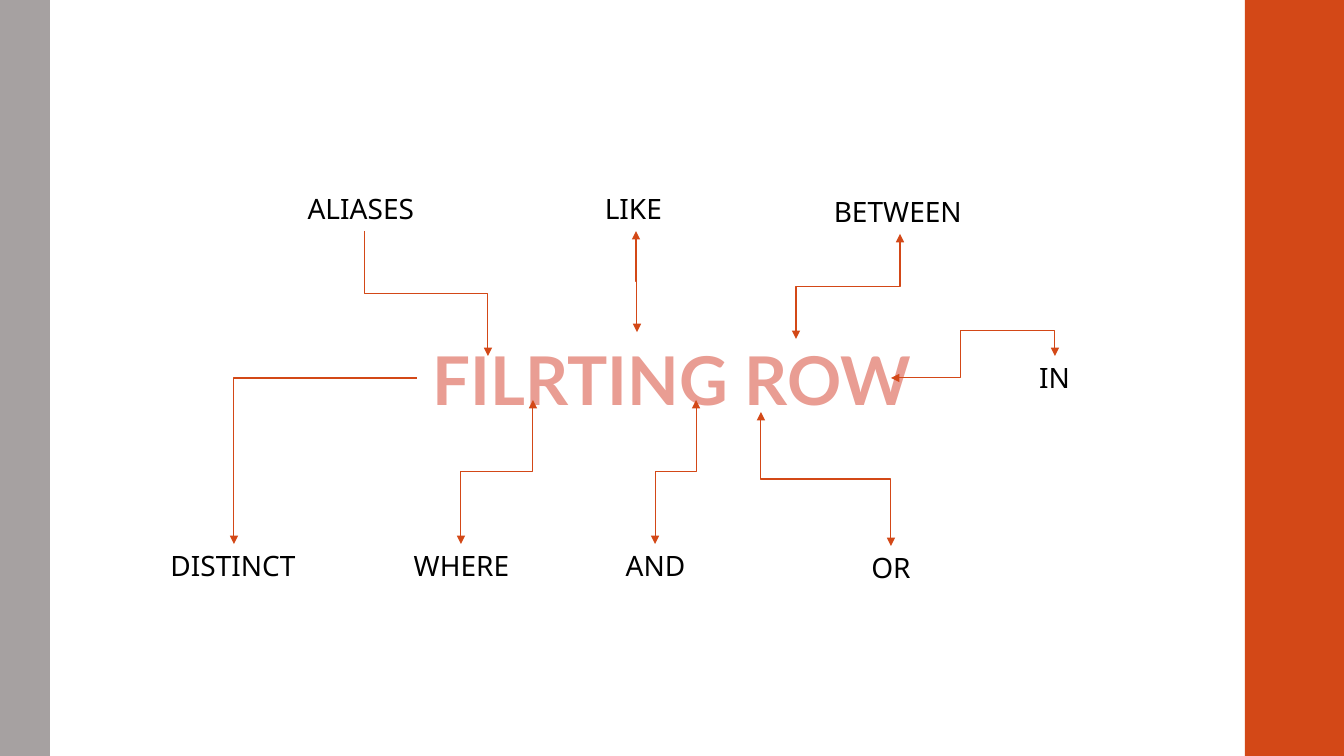
from dataclasses import dataclass

from pptx import Presentation
from pptx.dml.color import RGBColor
from pptx.enum.shapes import MSO_CONNECTOR, MSO_SHAPE
from pptx.enum.text import MSO_AUTO_SIZE, PP_ALIGN
from pptx.oxml.ns import qn
from pptx.util import Emu, Pt
from lxml.etree import SubElement


@dataclass(frozen=True)
class Theme:
    accent: str = "D34817"
    gray: str = "A6A1A1"
    pink: str = "E99D93"
    ink: str = "000000"
    head_font: str = "Lato"
    body_font: str = "Noto Sans"
    head_size: int = 48
    body_size: int = 20
    line: float = 0.75


def px(n):
    return Emu(round(n * 914400 / 100.8))


class Deck:
    def __init__(self, theme):
        self.theme = theme
        self.file = Presentation()
        self.file.slide_width, self.file.slide_height = px(1344), px(756)
        self.shapes = self.file.slides.add_slide(self.file.slide_layouts[6]).shapes

    def bar(self, left, width, color):
        bar = self.shapes.add_shape(MSO_SHAPE.RECTANGLE, px(left), 0, px(width), px(756))
        bar.shadow.inherit = False
        bar.fill.solid()
        bar.fill.fore_color.rgb = RGBColor.from_string(color)
        bar.line.fill.background()

    def text(self, words, box, font, size, color, bold=False, wrap=False):
        frame = self.shapes.add_textbox(*map(px, box)).text_frame
        frame.word_wrap = wrap
        frame.auto_size = MSO_AUTO_SIZE.SHAPE_TO_FIT_TEXT
        para = frame.paragraphs[0]
        para.alignment = PP_ALIGN.CENTER
        run = para.add_run()
        run.text = words
        run.font.name, run.font.size, run.font.bold = font, Pt(size), bold
        run.font.color.rgb = RGBColor.from_string(color)

    def title(self, words, box):
        style = self.theme
        self.text(words, box, style.head_font, style.head_size, style.pink, True, True)

    def label(self, words, left, top, width):
        style = self.theme
        self.text(words, (left, top, width, 44), style.body_font, style.body_size, style.ink)

    def elbow(self, start, end, kind="bentConnector3", turn=True, both=True, bends=()):
        (x1, y1), (x2, y2) = start, end
        if turn:  # swap the axes about the centre, so that it leaves upright
            mid_x, mid_y = (x1 + x2) / 2, (y1 + y2) / 2
            half_x, half_y = (x2 - x1) / 2, (y2 - y1) / 2
            x1, x2 = mid_x - half_y, mid_x + half_y
            y1, y2 = mid_y + half_x, mid_y - half_x
        link = self.shapes.add_connector(MSO_CONNECTOR.ELBOW, *map(px, (x1, y1, x2, y2)))
        link.line.color.rgb = RGBColor.from_string(self.theme.accent)
        link.line.width = Pt(self.theme.line)
        props = link._element.spPr
        if turn:
            props.find(qn("a:xfrm")).set("rot", "5400000")
        shape = props.find(qn("a:prstGeom"))
        shape.set("prst", kind)
        for i, bend in enumerate(bends, 1):
            SubElement(shape.find(qn("a:avLst")), qn("a:gd"), name=f"adj{i}", fmla=f"val {bend}")
        for tip in ("headEnd", "tailEnd") if both else ("tailEnd",):
            SubElement(props.find(qn("a:ln")), qn(f"a:{tip}"), type="triangle")
        SubElement(props, qn("a:effectLst"))


def main():
    theme = Theme()
    deck = Deck(theme)

    # Side bars
    deck.bar(1245, 99, theme.accent)
    deck.bar(0, 50, theme.gray)

    # Topic and its keywords
    deck.title("FILRTING ROW", (289, 333, 766, 92))
    for words, left, top, width in (
        ("DISTINCT", 160, 544, 146),
        ("WHERE", 403, 544, 117),
        ("AND", 615, 544, 81),
        ("OR", 861, 546, 60),
        ("IN", 1029, 356, 51),
        ("BETWEEN ", 823, 190, 157),
        ("LIKE ", 594, 187, 86),
        ("ALIASES ", 297, 187, 135),
    ):
        deck.label(words, left, top, width)

    # Arrows with one bend, three bends, then two bends
    deck.elbow((417, 378), (234, 544), "bentConnector2", turn=False, both=False)
    deck.elbow((1055, 356), (891, 378), "bentConnector4", bends=(-114300, 57800))
    for start, end in (
        ((461, 544), (533, 400)),
        ((655, 544), (696, 400)),
        ((891, 546), (761, 412)),
        ((900, 234), (796, 339)),
        ((636, 231), (637, 332)),
    ):
        deck.elbow(start, end)
    deck.elbow((365, 231), (488, 356), both=False)

    deck.file.save("out.pptx")


if __name__ == "__main__":
    main()
